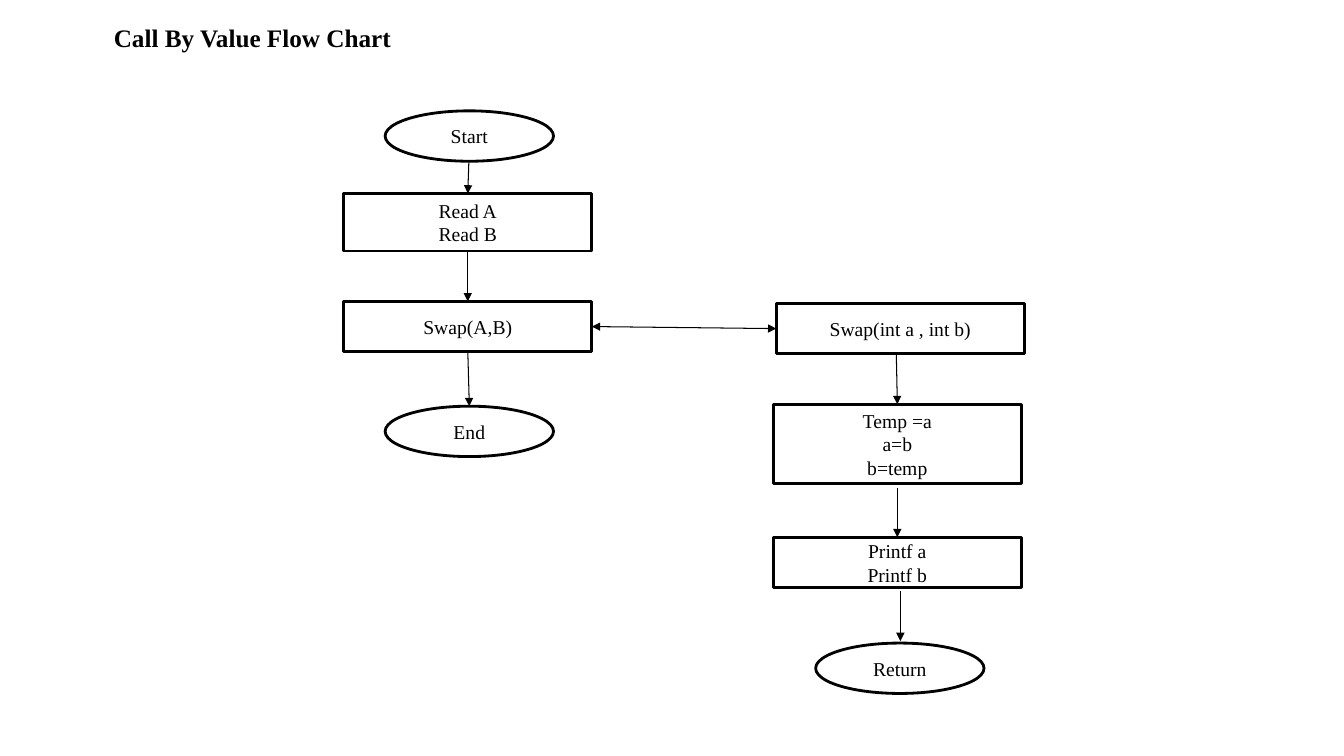
from lxml import etree
from pptx import Presentation
from pptx.dml.color import RGBColor
from pptx.enum import shapes, text
from pptx.oxml import ns
from pptx.util import Inches, Pt

BLACK = RGBColor(0, 0, 0)
WHITE = RGBColor(255, 255, 255)
FONT = "Times New Roman"
OVAL = shapes.MSO_SHAPE.OVAL
RECT = shapes.MSO_SHAPE.RECTANGLE
TOP, LEFT, BOTTOM, RIGHT = range(4)

deck = Presentation()
deck.slide_width, deck.slide_height = Inches(13.33), Inches(7.5)
slide = deck.slides.add_slide(deck.slide_layouts[6])


def write(frame, lines, size, bold=False, align=None):
    frame.word_wrap = True
    frame.text = "\n".join(lines)
    look = {"name": FONT, "size": Pt(size), "bold": bold}
    for para in frame.paragraphs:
        para.alignment = align
        font = para.runs[0].font
        font.color.rgb = BLACK
        for key, value in look.items():
            setattr(font, key, value)


title = slide.shapes.add_textbox(Inches(1.03), Inches(0.17), Inches(4.68), Inches(0.4))
write(title.text_frame, ["Call By Value Flow Chart"], 18, bold=True)

# Steps: name, preset, left, top, height, lines
steps = [
    ("start", OVAL, 3.82, 1.1, 0.5, ["Start"]),
    ("end", OVAL, 3.82, 4.03, 0.5, ["End"]),
    ("return", OVAL, 8.09, 6.38, 0.5, ["Return"]),
    ("read", RECT, 3.41, 1.92, 0.57, ["Read A", "Read B"]),
    ("call", RECT, 3.41, 2.99, 0.5, ["Swap(A,B)"]),
    ("swap", RECT, 7.7, 3.01, 0.5, ["Swap(int a , int b)"]),
    ("temp", RECT, 7.67, 4.01, 0.79, ["Temp =a", "a=b", "b=temp"]),
    ("print", RECT, 7.67, 5.33, 0.5, ["Printf a", "Printf b"]),
]
width = {OVAL: 1.67, RECT: 2.46}
nodes = {}
for name, kind, left, top, height, lines in steps:
    node = slide.shapes.add_shape(
        kind, Inches(left), Inches(top), Inches(width[kind]), Inches(height))
    node.shadow.inherit = False
    node.fill.solid()
    node.fill.fore_color.rgb = WHITE
    node.line.color.rgb = BLACK
    node.line.width = Pt(2)
    node.text_frame.vertical_anchor = text.MSO_ANCHOR.MIDDLE
    write(node.text_frame, lines, 14, align=text.PP_ALIGN.CENTER)
    nodes[name] = node

# Arrows: start point, end point, joined start, joined end, arrowheads
arrows = [
    ((4.65, 1.61), (4.64, 1.92), None, ("read", TOP), ["tailEnd"]),
    ((4.64, 2.49), (4.65, 2.99), ("read", BOTTOM), ("call", TOP), ["tailEnd"]),
    ((4.65, 3.5), (4.65, 4.03), ("call", BOTTOM), ("end", TOP), ["tailEnd"]),
    ((8.89, 3.52), (8.89, 4.02), None, ("temp", TOP), ["tailEnd"]),
    ((8.9, 4.84), (8.9, 5.35), None, ("print", TOP), ["tailEnd"]),
    ((8.93, 5.86), (8.93, 6.36), None, None, ["tailEnd"]),
    ((7.7, 3.26), (5.87, 3.25), ("swap", LEFT), ("call", RIGHT), ["headEnd", "tailEnd"]),
]
for begin, end, source, target, heads in arrows:
    arrow = slide.shapes.add_connector(
        shapes.MSO_CONNECTOR.STRAIGHT, *[Inches(v) for v in begin + end])
    if source:
        arrow.begin_connect(nodes[source[0]], source[1])
    if target:
        arrow.end_connect(nodes[target[0]], target[1])
    arrow.line.color.rgb = BLACK
    arrow.line.width = Pt(0.75)
    for head in heads:
        etree.SubElement(arrow.line._get_or_add_ln(), ns.qn("a:" + head), type="triangle")
    etree.SubElement(arrow._element.spPr, ns.qn("a:effectLst"))

deck.save("out.pptx")
